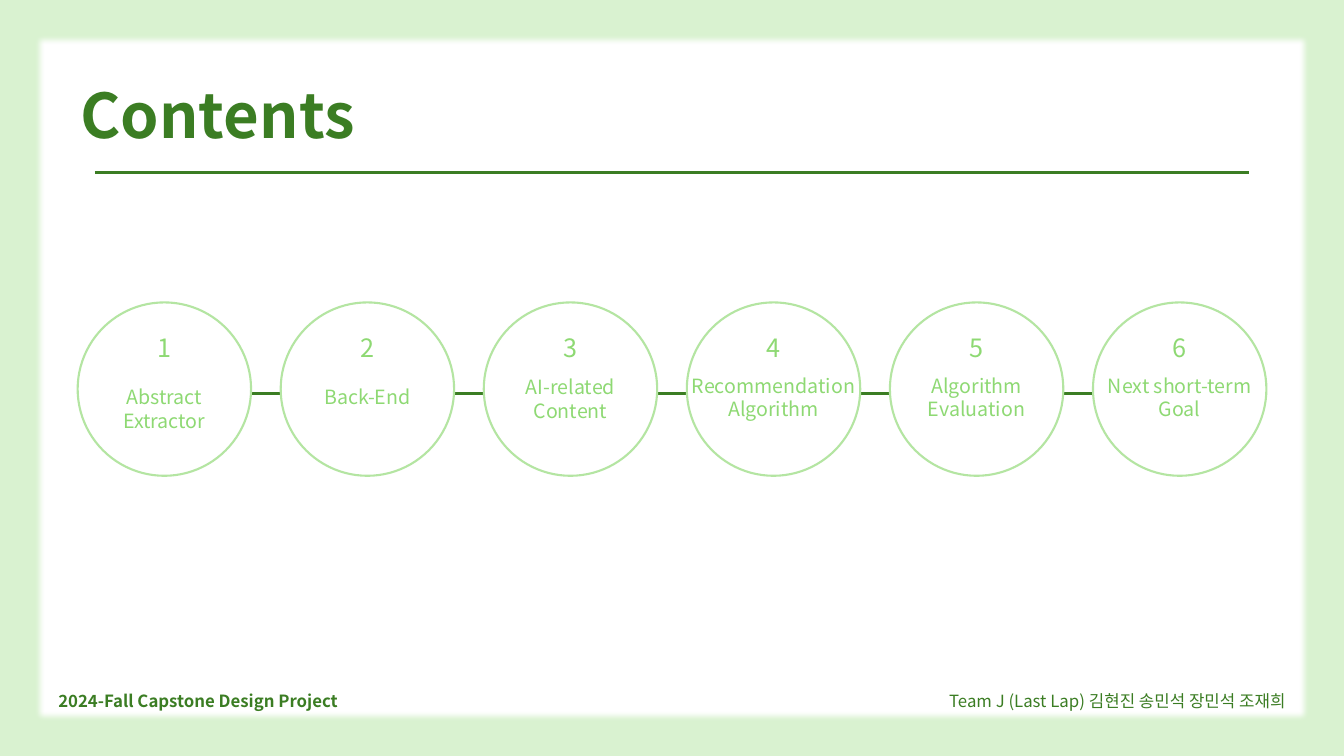
from lxml.etree import SubElement
from pptx import Presentation
from pptx.dml.color import RGBColor
from pptx.enum.shapes import MSO_CONNECTOR, MSO_SHAPE
from pptx.enum.text import MSO_ANCHOR, MSO_AUTO_SIZE, PP_ALIGN
from pptx.oxml import parse_xml
from pptx.oxml.ns import nsdecls, qn
from pptx.util import Inches, Pt

DARK_GREEN = "3B7D23"
LIGHT_GREEN = "8ED973"
RING_GREEN = "B4E5A2"
PALE_GREEN = "D9F2D0"
WHITE = "FFFFFF"


def color(value):
    return RGBColor.from_string(value)


class SlideBuilder:
    font = "Noto Sans CJK KR"

    def __init__(self, slide):
        self.slide = slide
        self.shapes = slide.shapes

    def background(self, fill):
        self.slide.background.fill.solid()
        self.slide.background.fill.fore_color.rgb = color(fill)

    def start_group(self):
        self.shapes = self.slide.shapes.add_group_shape().shapes

    def end_group(self):
        self.shapes = self.slide.shapes

    def shape(self, kind, left, top, width, height, fill, line=None):
        shape = self.shapes.add_shape(
            kind, Inches(left), Inches(top), Inches(width), Inches(height))
        shape.shadow.inherit = False
        shape.fill.solid()
        shape.fill.fore_color.rgb = color(fill)
        if line:
            shape.line.color.rgb = color(line)
            shape.line.width = Pt(1.5)
        else:
            shape.line.fill.background()
        return shape

    def soft_panel(self, left, top, width, height, fill):
        panel = self.shape(MSO_SHAPE.RECTANGLE, left, top, width, height, fill)
        effects = panel._element.spPr.find(qn("a:effectLst"))
        SubElement(effects, qn("a:softEdge"), rad=str(Inches(0.07)))

    def rule(self, left, right, y):
        line = self.shapes.add_connector(
            MSO_CONNECTOR.STRAIGHT, Inches(left), Inches(y), Inches(right), Inches(y))
        line.line.color.rgb = color(DARK_GREEN)
        line.line.width = Pt(2.25)
        SubElement(line._element.spPr, qn("a:effectLst"))

    def text(self, text, left, top, width, height, size, align,
             fill=DARK_GREEN, bold=False, spacing=None, outline=False):
        box = self.shapes.add_textbox(
            Inches(left), Inches(top), Inches(width), Inches(height))
        frame = box.text_frame
        frame.word_wrap = True
        frame.vertical_anchor = MSO_ANCHOR.TOP
        if outline:
            frame.auto_size = MSO_AUTO_SIZE.SHAPE_TO_FIT_TEXT
        frame.text = text
        for paragraph in frame.paragraphs:
            paragraph.alignment = align
            if spacing:
                paragraph.line_spacing = spacing
                paragraph.space_before = Pt(10)
            for run in paragraph.runs:
                run.font.size = Pt(size)
                run.font.bold = bold
                run.font.name = self.font
                run.font.color.rgb = color(fill)
                properties = run._r.get_or_add_rPr()
                SubElement(properties, qn("a:ea"), typeface=self.font)
                if outline:
                    properties.insert(0, self.clear_outline())

    def clear_outline(self):
        return parse_xml(
            f'<a:ln {nsdecls("a")} w="9525"><a:solidFill><a:srgbClr val="{DARK_GREEN}">'
            '<a:alpha val="0"/></a:srgbClr></a:solidFill></a:ln>')

    def step(self, number, label, label_top, left):
        diameter = 1.72
        center = left + diameter / 2
        label_width, number_width = 2.25, 0.64
        label_height = 0.57 if "\n" in label else 0.34
        self.start_group()
        self.shape(MSO_SHAPE.OVAL, left, 3, diameter, diameter, WHITE, RING_GREEN)
        self.text(label, center - label_width / 2, label_top, label_width, label_height,
                  14, PP_ALIGN.CENTER, LIGHT_GREEN, outline=True)
        self.text(str(number), center - number_width / 2, 3.25, number_width, 0.4,
                  18, PP_ALIGN.CENTER, LIGHT_GREEN, outline=True)
        self.end_group()


def main():
    presentation = Presentation()
    presentation.slide_width = Inches(13.33)
    presentation.slide_height = Inches(7.5)
    slide = presentation.slides.add_slide(presentation.slide_layouts[6])
    builder = SlideBuilder(slide)

    # Background and panel
    builder.background(PALE_GREEN)
    builder.soft_panel(0.33, 0.33, 12.68, 6.85, WHITE)

    # Title and footer
    builder.text("Team J (Last Lap) 김현진 송민석 장민석 조재희", 6.2, 6.83, 6.65, 0.41,
                 12, PP_ALIGN.RIGHT, spacing=0.9)
    builder.text("Contents", 0.7, 0.8, 8.67, 1.81,
                 44, PP_ALIGN.JUSTIFY, bold=True, spacing=0.9)
    builder.rule(0.94, 12.39, 1.71)
    builder.text("2024-Fall Capstone Design Project", 0.48, 6.83, 5.76, 0.39,
                 12, PP_ALIGN.JUSTIFY, bold=True, spacing=0.9)

    # Chain of steps: label and its top
    builder.rule(0.85, 12.3, 3.9)
    steps = [
        ("Abstract\nExtractor", 3.77),
        ("Back-End", 3.77),
        ("AI-related\nContent", 3.67),
        ("Recommendation\nAlgorithm", 3.66),
        ("Algorithm\nEvaluation", 3.66),
        ("Next short-term\nGoal", 3.66),
    ]
    first_left, last_left = 0.77, 10.84
    pitch = (last_left - first_left) / (len(steps) - 1)
    for index, (label, label_top) in enumerate(steps):
        builder.step(index + 1, label, label_top, first_left + index * pitch)

    presentation.save("out.pptx")


if __name__ == "__main__":
    main()
